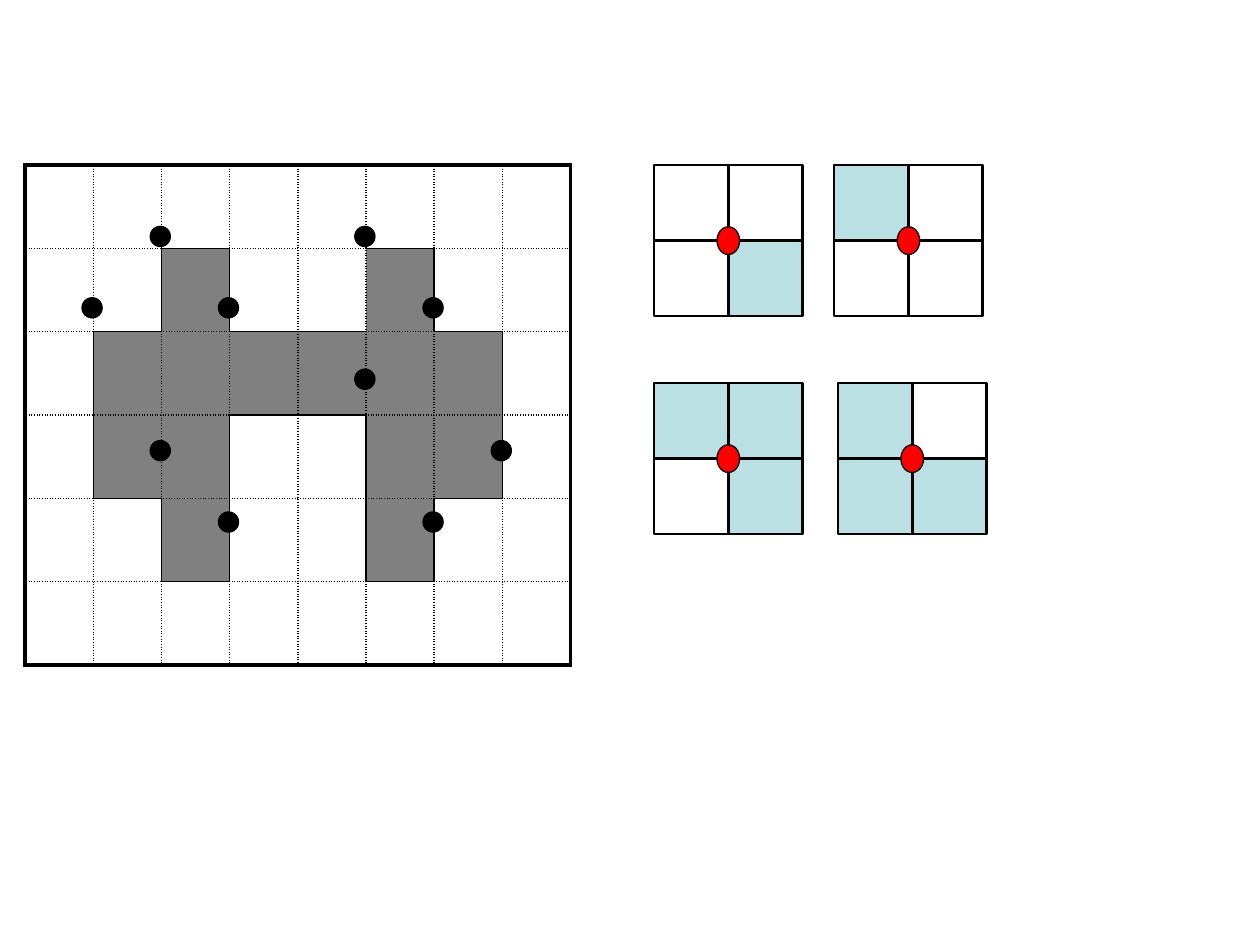
from dataclasses import dataclass
from itertools import product

from lxml.etree import SubElement
from pptx import Presentation
from pptx.dml.color import RGBColor
from pptx.enum.shapes import MSO_SHAPE
from pptx.oxml.ns import qn
from pptx.util import Inches, Pt


@dataclass(frozen=True)
class Theme:
    ink: str = "000000"
    figure: str = "808080"
    tint: str = "BBE0E3"
    paper: str = "FFFFFF"
    knot: str = "FF0000"
    frame_pt: float = 2.25
    block_pt: float = 1.5
    edge_pt: float = 1
    dot_pt: float = 0.75


@dataclass(frozen=True)
class Grid:
    left: float
    top: float
    col: float
    row: float

    def at(self, col: float, row: float) -> tuple[float, float]:
        return self.left + col * self.col, self.top + row * self.row


@dataclass(frozen=True)
class Block:
    """Two by two cells, read row by row; '#' is tinted."""
    grid: Grid
    cells: str


THEME = Theme()
FIGURE = (
    "........",
    "..#..#..",
    ".######.",
    ".##..##.",
    "..#..#..",
    "........",
)
ROWS, COLS = len(FIGURE), len(FIGURE[0])
OPEN_EDGE = {(1, 4), (1, 5)}  # the one boundary left dotted

BOARD = Grid(0.2, 1.31, 4.33 / COLS, 3.97 / ROWS)
DOT_GRID = Grid(0.19, 1.31, 4.33 / COLS, 3.4 / ROWS)
DOTS = [(1, 2), (2, 1), (3, 2), (5, 1), (6, 2), (5, 3), (7, 4), (2, 4), (6, 5), (3, 5)]
DOT_SIZE = (0.16, 0.16)
KNOT_SIZE = (0.18, 0.22)

CELL_W, CELL_H = 0.59, 0.6
BLOCKS = [
    Block(Grid(left, top, CELL_W, CELL_H), cells)
    for left, top, cells in (
        (5.19, 1.31, "...#"),
        (6.62, 1.31, "#..."),
        (5.19, 3.04, "##.#"),
        (6.65, 3.04, "#.##"),
    )
]


def add_filled(shapes, kind: MSO_SHAPE, left: float, top: float,
               size: tuple[float, float], color: str, line_pt: float) -> None:
    sp = shapes.add_shape(kind, *map(Inches, (left, top, *size)))
    sp.shadow.inherit = False
    sp.fill.solid()
    sp.fill.fore_color.rgb = RGBColor.from_string(color)
    sp.line.color.rgb = RGBColor.from_string(THEME.ink)
    sp.line.width = Pt(line_pt)


def add_spot(shapes, center: tuple[float, float], size: tuple[float, float],
             color: str) -> None:
    x, y = center
    add_filled(shapes, MSO_SHAPE.OVAL, x - size[0] / 2, y - size[1] / 2,
               size, color, THEME.dot_pt)


def edge_style(row: int, col: int, next_row: int, next_col: int) -> tuple[float, str]:
    """Heavy at the frame, solid around the figure, dotted elsewhere."""
    if not (0 <= next_row < ROWS and 0 <= next_col < COLS):
        return THEME.frame_pt, "solid"
    changes = FIGURE[row][col] != FIGURE[next_row][next_col]
    is_open = {(row, col), (next_row, next_col)} == OPEN_EDGE
    return THEME.edge_pt, "solid" if changes and not is_open else "sysDot"


def set_border(cell, side: str, width: float, dash: str) -> None:
    ln = SubElement(cell._tc.get_or_add_tcPr(), qn(f"a:ln{side}"), w=str(Pt(width)))
    fill = SubElement(ln, qn("a:solidFill"))
    SubElement(fill, qn("a:srgbClr"), val=THEME.ink)
    SubElement(ln, qn("a:prstDash"), val=dash)


def add_board(shapes) -> None:
    size = BOARD.col * COLS, BOARD.row * ROWS
    table = shapes.add_table(
        ROWS, COLS, *map(Inches, (BOARD.left, BOARD.top, *size))).table
    table.first_row = table.horz_banding = False
    for row, col in product(range(ROWS), range(COLS)):
        cell = table.cell(row, col)
        for side, dr, dc in (("L", 0, -1), ("R", 0, 1), ("T", -1, 0), ("B", 1, 0)):
            set_border(cell, side, *edge_style(row, col, row + dr, col + dc))
        if FIGURE[row][col] == "#":
            cell.fill.solid()
            cell.fill.fore_color.rgb = RGBColor.from_string(THEME.figure)
        else:
            cell.fill.background()


def add_block(shapes, block: Block) -> None:
    for i, mark in reversed(list(enumerate(block.cells))):
        row, col = divmod(i, 2)
        add_filled(shapes, MSO_SHAPE.RECTANGLE, *block.grid.at(col, row),
                   (CELL_W, CELL_H), THEME.tint if mark == "#" else THEME.paper,
                   THEME.block_pt)


def main() -> None:
    prs = Presentation()
    prs.slide_width, prs.slide_height = Inches(10), Inches(7.5)
    shapes = prs.slides.add_slide(prs.slide_layouts[6]).shapes
    add_board(shapes)
    for col, row in DOTS:
        add_spot(shapes, DOT_GRID.at(col, row), DOT_SIZE, THEME.ink)
    for block in BLOCKS:
        add_block(shapes, block)
    for block in BLOCKS:
        add_spot(shapes, block.grid.at(1, 1), KNOT_SIZE, THEME.knot)
    prs.save("out.pptx")


if __name__ == "__main__":
    main()
